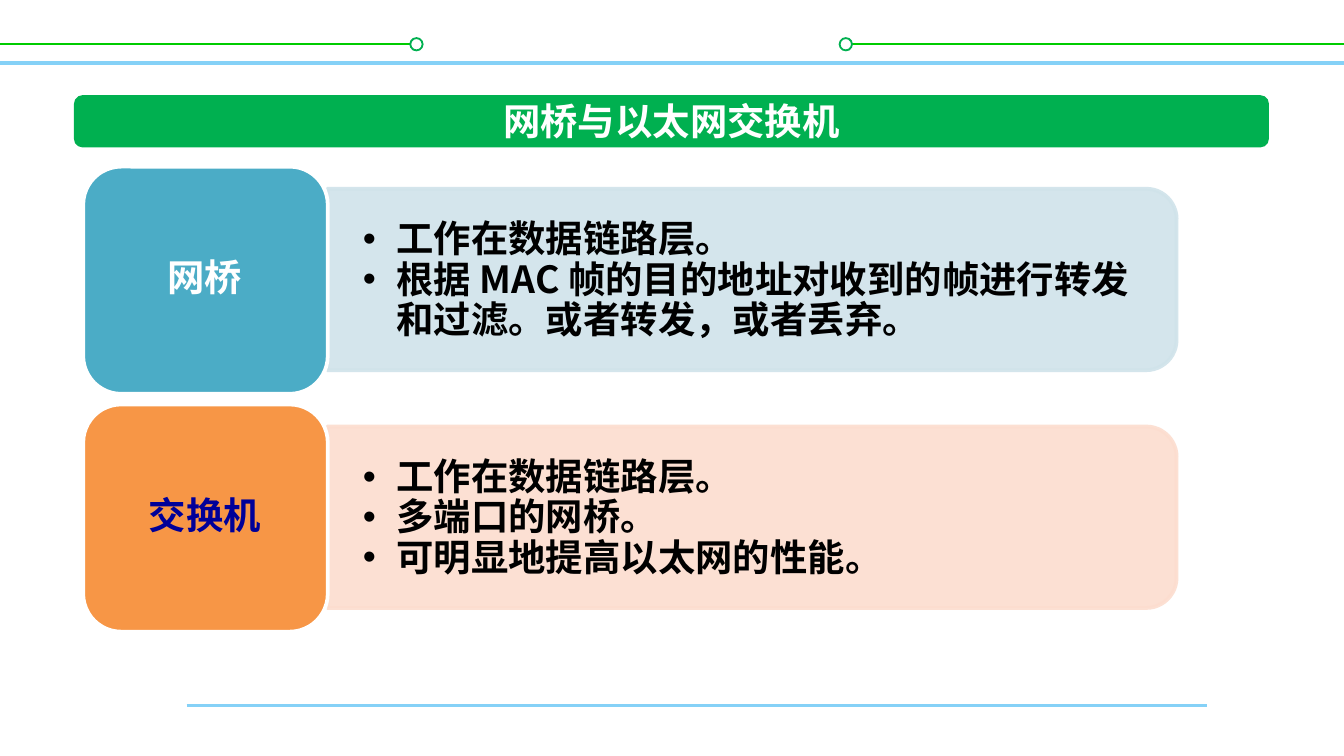
from typing import NamedTuple

from lxml.etree import SubElement
from pptx import Presentation
from pptx.dml.color import RGBColor
from pptx.enum.shapes import MSO_CONNECTOR, MSO_SHAPE
from pptx.enum.text import MSO_ANCHOR, MSO_AUTO_SIZE, PP_ALIGN
from pptx.oxml.ns import qn
from pptx.util import Pt

FONT = "Noto Sans CJK SC"
PITCH = 127.4  # distance between rows


class Rule(NamedTuple):
    start: float
    end: float
    y: float
    color: str
    width: float


class Row(NamedTuple):
    label: str
    ink: str
    tile: str
    panel: str
    points: list[str]


RULES = [
    Rule(0, 720, 33.8, "85D1F7", 2),
    Rule(0, 223, 23.8, "00CC00", 1),
    Rule(450, 720, 23.8, "00CC00", 1),
    Rule(100, 646.5, 378, "85D1F7", 1.5),
]
ROWS = [
    Row("网桥", "FFFFFF", "4BACC6", "D0E3EA", [
        "工作在数据链路层。",
        "根据 MAC 帧的目的地址对收到的帧进行转发和过滤。或者转发，或者丢弃。",
    ]),
    Row("交换机", "000099", "F79646", "FCDDCF", [
        "工作在数据链路层。",
        "多端口的网桥。",
        "可明显地提高以太网的性能。",
    ]),
]


def paint(target, color: str, alpha: int = 100) -> None:
    """Give a fill, line fill or font colour a hex value."""
    if hasattr(target, "solid"):
        target.solid()
        target = target.fore_color
    target.rgb = RGBColor.from_string(color)
    if alpha < 100:
        node = target._xFill.find(qn("a:srgbClr"))
        SubElement(node, qn("a:alpha"), val=str(alpha * 1000))


def draw_rule(slide, rule: Rule) -> None:
    line = slide.shapes.add_connector(
        MSO_CONNECTOR.STRAIGHT,
        Pt(rule.start), Pt(rule.y), Pt(rule.end), Pt(rule.y))
    paint(line.line.fill, rule.color)
    line.line.width = Pt(rule.width)
    SubElement(line.element.spPr, qn("a:effectLst"))


def draw_shape(slide, kind, box: tuple, fill: str, edge: str = "",
               width: float = 2, alpha: int = 100):
    shape = slide.shapes.add_shape(kind, *map(Pt, box))
    shape.shadow.inherit = False
    paint(shape.fill, fill, alpha)
    if edge:
        paint(shape.line.fill, edge, alpha)
        shape.line.width = Pt(width)
    else:
        shape.line.fill.background()
    return shape


def set_text(shape, lines: list[str], *, color: str = "000000",
             inset: tuple = (7.2, 3.6), align=PP_ALIGN.CENTER,
             space: float = 0.9, bullet: bool = False,
             wrap: bool = True) -> None:
    frame = shape.text_frame
    frame.auto_size = MSO_AUTO_SIZE.NONE
    frame.word_wrap = wrap
    frame.vertical_anchor = MSO_ANCHOR.MIDDLE
    frame.margin_left = frame.margin_right = Pt(inset[0])
    frame.margin_top = frame.margin_bottom = Pt(inset[1])
    for i, line in enumerate(lines):
        para = frame.add_paragraph() if i else frame.paragraphs[0]
        para.alignment = align
        para.line_spacing = space
        if bullet:
            props = para._p.get_or_add_pPr()
            props.set("marL", str(Pt(18)))
            props.set("indent", str(Pt(-18)))
            SubElement(props, qn("a:buFont"), typeface="Arial")
            SubElement(props, qn("a:buChar"), char="•")
        run = para.add_run()
        run.text = line
        run.font.size = Pt(20)
        run.font.bold = True
        run.font.name = FONT
        paint(run.font.color, color)
        SubElement(run._r.get_or_add_rPr(), qn("a:ea"), typeface=FONT)


def draw_row(slide, row: Row, shift: float) -> None:
    # Panel turned so that its round corners face right
    panel = draw_shape(slide, MSO_SHAPE.ROUND_2_SAME_RECTANGLE,
                       (354.2, shift - 77.8, 97.2, 455),
                       row.panel, row.panel, alpha=90)
    panel.rotation = 90
    body = slide.shapes.add_textbox(
        *map(Pt, (175, shift + 106.6, 450.7, 87.8)))
    set_text(body, row.points, inset=(19.4, 10), align=PP_ALIGN.LEFT,
             bullet=True)
    # Tile and its label
    draw_shape(slide, MSO_SHAPE.ROUNDED_RECTANGLE,
               (44.6, shift + 89.3, 131, 121.7), row.tile, "FFFFFF")
    label = slide.shapes.add_textbox(
        *map(Pt, (50.4, shift + 95, 118.8, 109.4)))
    set_text(label, [row.label], color=row.ink, inset=(5.8, 2.9))


def main() -> None:
    deck = Presentation()
    deck.slide_width, deck.slide_height = Pt(720), Pt(405)
    slide = deck.slides.add_slide(deck.slide_layouts[5])

    # Frame lines and end rings
    for rule in RULES:
        draw_rule(slide, rule)
    for left in (219.8, 449.8):
        draw_shape(slide, MSO_SHAPE.OVAL, (left, 20.4, 6.6, 6.6),
                   "FFFFFF", "00B050", 1)

    # Title on its green bar
    bar = draw_shape(slide, MSO_SHAPE.ROUNDED_RECTANGLE,
                     (39.6, 51, 640.2, 28), "00B050")
    title = slide.shapes.title
    title.left, title.top = Pt(261.4), Pt(49)
    title.width, title.height = Pt(196.6), Pt(31.7)
    set_text(title, ["网桥与以太网交换机"], color="FFFFFF", space=1,
             wrap=False)
    bar.element.addnext(title.element)

    # Device rows
    for i, row in enumerate(ROWS):
        draw_row(slide, row, i * PITCH)

    deck.save("out.pptx")


if __name__ == "__main__":
    main()
